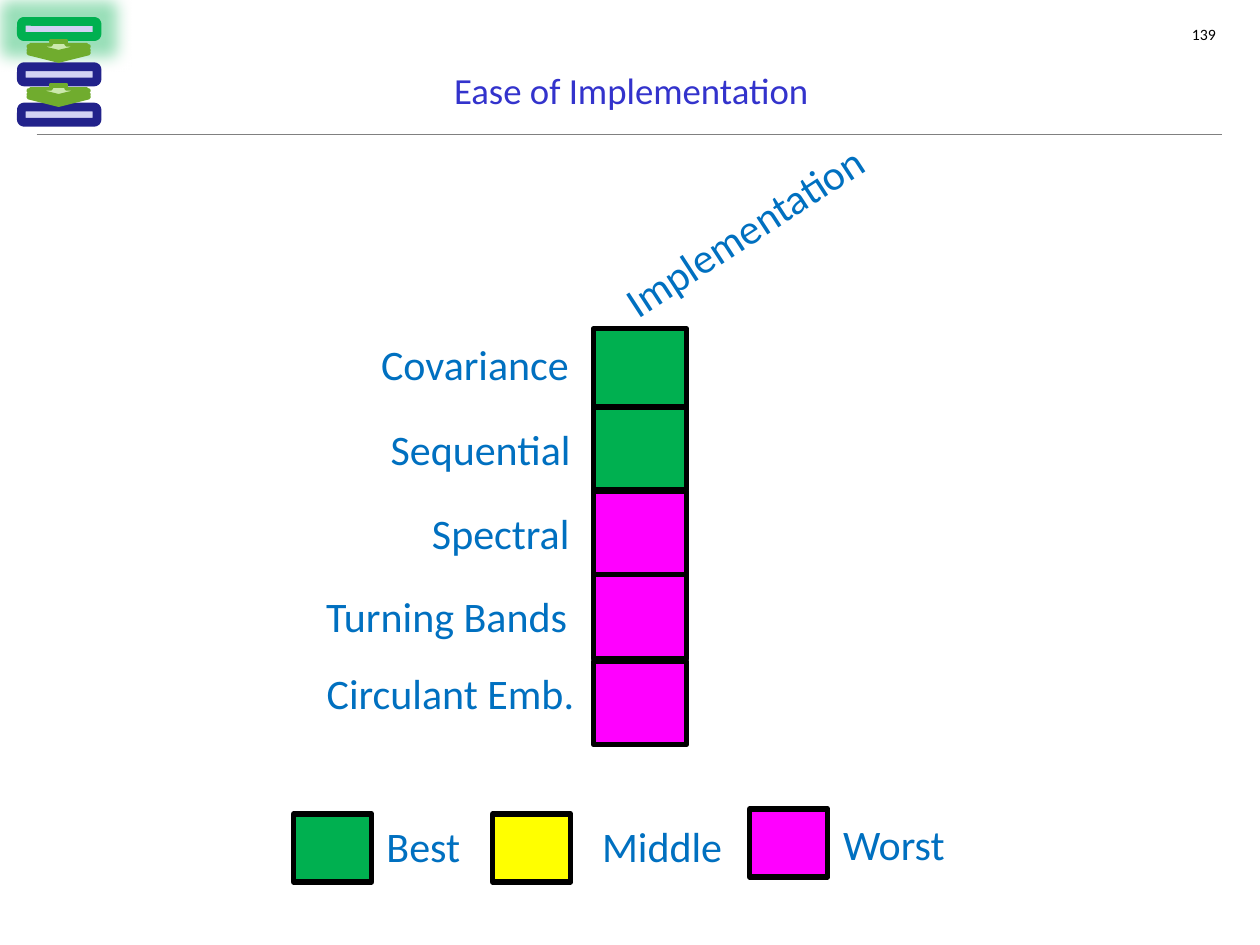
from lxml.etree import SubElement
from pptx import Presentation
from pptx.dml.color import RGBColor
from pptx.enum.shapes import MSO_CONNECTOR, MSO_SHAPE
from pptx.enum.text import MSO_ANCHOR, PP_ALIGN
from pptx.oxml.ns import qn
from pptx.util import Inches, Pt

BLACK = RGBColor(0x00, 0x00, 0x00)
WHITE = RGBColor(0xFF, 0xFF, 0xFF)
GRAY = RGBColor(0x80, 0x80, 0x80)
TITLE_BLUE = RGBColor(0x33, 0x33, 0xCC)
LABEL_BLUE = RGBColor(0x00, 0x70, 0xC0)
GREEN = RGBColor(0x00, 0xB0, 0x50)
YELLOW = RGBColor(0xFF, 0xFF, 0x00)
MAGENTA = RGBColor(0xFF, 0x00, 0xFF)
NAVY = RGBColor(0x22, 0x22, 0x8B)
LAVENDER = RGBColor(0xD2, 0xD2, 0xF4)
ARROW_FILL = RGBColor(0xCC, 0xE9, 0xAD)
ARROW_LINE = RGBColor(0x70, 0xAC, 0x2E)

METHODS = [
    ("Covariance", 2.73, 2.64, 2.08, 2.61, 0.63, GREEN),
    ("Sequential", 2.98, 3.31, 1.67, 3.23, 0.66, GREEN),
    ("Spectral", 3.31, 3.98, 1.33, 3.9, 0.67, MAGENTA),
    ("Turning Bands", 2.32, 4.64, 2.45, 4.56, 0.67, MAGENTA),
    ("Circulant Emb.", 2.35, 5.25, 2.45, 5.25, 0.66, MAGENTA),
]
LEGEND = [
    ("Best", 2.33, 6.46, GREEN, 2.95, 6.46, 0.82),
    ("Middle", 3.91, 6.46, YELLOW, 4.56, 6.46, 1.39),
    ("Worst", 5.95, 6.42, MAGENTA, 6.51, 6.45, 1.17),
]


class SlideBuilder:
    """Holds the style and the current slide, and adds each kind of element."""

    label_format = {"name": "Calibri", "size": Pt(24), "bold": False}

    def __init__(self, slide):
        self.slide = slide

    def set_text(self, shape, text, color, alignment=PP_ALIGN.CENTER, **changes):
        shape.text_frame.word_wrap = True
        paragraph = shape.text_frame.paragraphs[0]
        paragraph.text = text
        paragraph.alignment = alignment
        for name, value in {**self.label_format, **changes}.items():
            setattr(paragraph.font, name, value)
        paragraph.font.color.rgb = color

    def title(self, text, left, top, width, height):
        shape = self.slide.shapes.title
        position = {"left": left, "top": top, "width": width, "height": height}
        for name, value in position.items():
            setattr(shape, name, Inches(value))
        shape.text_frame.vertical_anchor = MSO_ANCHOR.MIDDLE
        self.set_text(shape, text, TITLE_BLUE, size=Pt(21))

    def page_number(self, text, left, top, width, height):
        shape = self.slide.shapes.add_textbox(*map(Inches, (left, top, width, height)))
        for side in ("left", "right", "top", "bottom"):
            setattr(shape.text_frame, f"margin_{side}", 0)
        self.set_text(shape, text, BLACK, PP_ALIGN.RIGHT, size=Pt(9))

    def label(self, text, left, top, width, rotation=0, fill=None):
        shape = self.slide.shapes.add_textbox(*map(Inches, (left, top, width, 0.5)))
        shape.rotation = rotation
        if fill is not None:
            shape.fill.solid()
            shape.fill.fore_color.rgb = fill
        self.set_text(shape, text, LABEL_BLUE)

    def rule(self, left, right, top):
        line = self.slide.shapes.add_connector(
            MSO_CONNECTOR.STRAIGHT, *map(Inches, (left, top, right, top)))
        line.line.color.rgb = GRAY
        line.line.width = Pt(0.75)
        SubElement(line._element.spPr, qn("a:effectLst"))

    def block(self, left, top, width, height, fill, line=BLACK, weight=3,
              kind=MSO_SHAPE.RECTANGLE, rotation=0, adjustments=()):
        shape = self.slide.shapes.add_shape(
            kind, *map(Inches, (left, top, width, height)))
        shape.shadow.inherit = False
        shape.rotation = rotation
        for index, value in enumerate(adjustments):
            shape.adjustments[index] = value
        shape.fill.solid()
        shape.fill.fore_color.rgb = fill
        shape.line.color.rgb = line
        shape.line.width = Pt(weight)
        return shape

    def glow(self, shape, color, radius):
        effects = shape._element.spPr.find(qn("a:effectLst"))
        glow = SubElement(effects, qn("a:glow"), rad=str(Pt(radius)))
        tint = SubElement(glow, qn("a:srgbClr"), val=str(color))
        SubElement(tint, qn("a:alpha"), val="40000")

    def step(self, top, line):
        return self.block(0.17, top, 0.6, 0.12, LAVENDER, line, 5,
                          MSO_SHAPE.ROUNDED_RECTANGLE)

    def step_arrow(self, top):
        chevron = (0.43, 0.07, 0.48, MSO_SHAPE.CHEVRON, (0.851,))
        arrow = (0.42, 0.09, 0.45, MSO_SHAPE.STRIPED_RIGHT_ARROW, (0.261, 0.61))
        parts = [(0.07, chevron), (0, arrow), (0.05, chevron), (0.02, chevron)]
        for offset, (left, width, height, kind, adjustments) in parts:
            self.block(left, top + offset, width, height, ARROW_FILL, ARROW_LINE,
                       2, kind, 90, adjustments)


def main():
    presentation = Presentation()
    presentation.slide_width = Inches(10)
    presentation.slide_height = Inches(7.5)
    builder = SlideBuilder(presentation.slides.add_slide(presentation.slide_layouts[5]))

    builder.page_number("139", 8.95, 0.2, 0.7, 0.15)
    builder.rule(0.29, 9.7, 1.07)
    builder.title("Ease of Implementation", 0.51, 0.44, 9, 0.55)

    for text, left, top, width, *cell in METHODS:
        builder.label(text, left, top, width, fill=WHITE)
    for *label, top, height, color in METHODS:
        builder.block(4.71, top, 0.74, height, color)
    builder.label("Implementation", 4.56, 1.58, 2.69, rotation=327)

    for text, left, top, color, label_left, label_top, label_width in LEGEND:
        builder.block(left, top, 0.62, 0.54, color)
        builder.label(text, label_left, label_top, label_width)

    builder.glow(builder.step(0.17, GREEN), GREEN, 18)
    for top in (0.53, 0.85):
        builder.step(top, NAVY)
    for top in (0.14, 0.49):
        builder.step_arrow(top)

    presentation.save("out.pptx")


if __name__ == "__main__":
    main()
